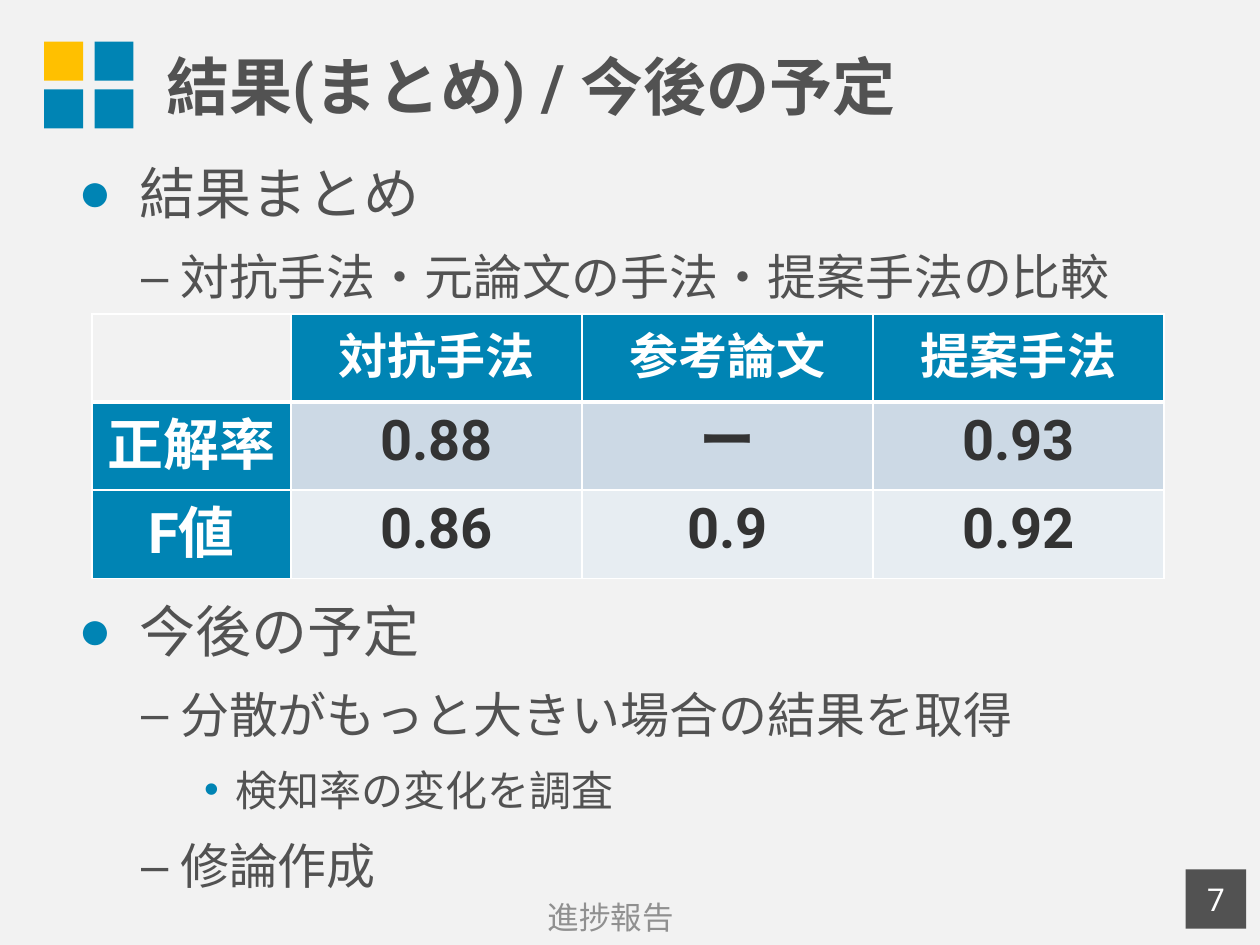
from lxml.etree import SubElement
from pptx import Presentation
from pptx.dml.color import RGBColor
from pptx.enum.shapes import MSO_SHAPE
from pptx.enum.text import MSO_ANCHOR, MSO_AUTO_SIZE, PP_ALIGN
from pptx.oxml import parse_xml
from pptx.oxml.ns import nsdecls, qn
from pptx.util import Inches, Pt

FONT = "Roboto"
COLORS = {
    "background": "F2F2F2", "blue": "0084B4", "yellow": "FFC000",
    "text": "525252", "footer": "909090", "white": "FFFFFF",
    "value": "333333", "band_dark": "CCD9E5", "band_light": "E7EDF2",
}


def rgb(name):
    return RGBColor.from_string(COLORS[name])


def style(paragraph, size, color, bold=False, align=None):
    paragraph.alignment = align
    for run in paragraph.runs:
        run.font.name = FONT
        run.font.size = Pt(size)
        run.font.bold = bold
        run.font.color.rgb = rgb(color)
        SubElement(run.font._element, qn("a:ea"), typeface=FONT)


prs = Presentation()
prs.slide_width = Inches(10)
prs.slide_height = Inches(7.5)
slide = prs.slides.add_slide(prs.slide_layouts[1])
slide.background.fill.solid()
slide.background.fill.fore_color.rgb = rgb("background")

for index, color in enumerate(["yellow", "blue", "blue", "blue"]):
    row, col = divmod(index, 2)
    square = slide.shapes.add_shape(
        MSO_SHAPE.RECTANGLE, Inches(0.35 + 0.4 * col), Inches(0.33 + 0.38 * row),
        Inches(0.31), Inches(0.31))
    square.shadow.inherit = False
    square.fill.solid()
    square.fill.fore_color.rgb = rgb(color)
    square.line.fill.background()

title = slide.shapes.title
title.left, title.top = Inches(1.22), Inches(0.05)
title.width, title.height = Inches(8.78), Inches(1.25)
title.text_frame.text = "結果(まとめ) / 今後の予定"
title.text_frame.auto_size = MSO_AUTO_SIZE.NONE
title.text_frame.vertical_anchor = MSO_ANCHOR.MIDDLE
style(title.text_frame.paragraphs[0], 36, "text", True, PP_ALIGN.LEFT)

outline = slide.placeholders[1]
outline.left, outline.top = Inches(0.52), Inches(1.21)
outline.width, outline.height = Inches(9.15), Inches(6.05)
outline.text_frame.auto_size = MSO_AUTO_SIZE.NONE
levels = [
    (32, 0.49, 0.49, "●", "blue"),
    (28, 0.81, 0.31, "–", "text"),
    (24, 1.25, 0.25, "•", "blue"),
]
TABLE_GAP = 166
items = [
    (0, "結果まとめ", 12),
    (1, "対抗手法・元論文の手法・提案手法の比較", 12),
    (0, "今後の予定", TABLE_GAP),
    (1, "分散がもっと大きい場合の結果を取得", 12),
    (2, "検知率の変化を調査", 12),
    (1, "修論作成", 12),
]
outline.text_frame.text = "\n".join(text for _, text, _ in items)
for paragraph, (level, _, space) in zip(outline.text_frame.paragraphs, items):
    size, margin, hanging, bullet, bullet_color = levels[level]
    paragraph.level = level
    paragraph.space_before = Pt(space)
    style(paragraph, size, "text")
    props = paragraph._p.get_or_add_pPr()
    props.set("marL", str(Inches(margin)))
    props.set("indent", str(-Inches(hanging)))
    SubElement(SubElement(props, qn("a:buClr")), qn("a:srgbClr"), val=COLORS[bullet_color])
    SubElement(props, qn("a:buChar"), char=bullet)

results = [
    ["", "対抗手法", "参考論文", "提案手法"],
    ["正解率", "0.88", "ー", "0.93"],
    ["F値", "0.86", "0.9", "0.92"],
]
table = slide.shapes.add_table(
    3, 4, Inches(0.73), Inches(2.49), Inches(8.5), Inches(2.1)).table
for col, width in enumerate([1.58, 2.31, 2.31, 2.31]):
    table.columns[col].width = Inches(width)
for row, values in enumerate(results):
    table.rows[row].height = Inches(0.7)
    for col, value in enumerate(values):
        cell = table.cell(row, col)
        cell.text_frame.text = value
        heading = row == 0 or col == 0
        if heading:
            cell.vertical_anchor = MSO_ANCHOR.MIDDLE
        style(cell.text_frame.paragraphs[0], 32 if row else 28,
              "white" if heading else "value", True, PP_ALIGN.CENTER)
        if value:
            cell.fill.solid()
            cell.fill.fore_color.rgb = rgb(
                "blue" if heading else ["band_dark", "band_light"][row - 1])
        else:
            cell.fill.background()
        for position, side in enumerate("LRTB"):
            thick = (row == 0 and side == "B") or (row == 1 and side == "T")
            border = parse_xml(
                f'<a:ln{side} {nsdecls("a")} w="{Pt(3 if thick else 1)}"><a:solidFill>'
                f'<a:srgbClr val="{COLORS["white"]}"/></a:solidFill></a:ln{side}>')
            cell._tc.get_or_add_tcPr().insert(position, border)

footer = slide.shapes.add_textbox(Inches(0.35), Inches(7.08), Inches(8.99), Inches(0.4))
footer.text_frame.word_wrap = True
footer.text_frame.vertical_anchor = MSO_ANCHOR.MIDDLE
footer.text_frame.text = "進捗報告"
style(footer.text_frame.paragraphs[0], 18, "footer", align=PP_ALIGN.CENTER)

page_number = slide.shapes.add_shape(
    MSO_SHAPE.RECTANGLE, Inches(9.41), Inches(6.9), Inches(0.48), Inches(0.47))
page_number.shadow.inherit = False
page_number.fill.solid()
page_number.fill.fore_color.rgb = rgb("text")
page_number.line.fill.background()
page_number.text_frame.vertical_anchor = MSO_ANCHOR.MIDDLE
page_number.text_frame.text = "7"
style(page_number.text_frame.paragraphs[0], 18, "white", align=PP_ALIGN.CENTER)

prs.save("out.pptx")
